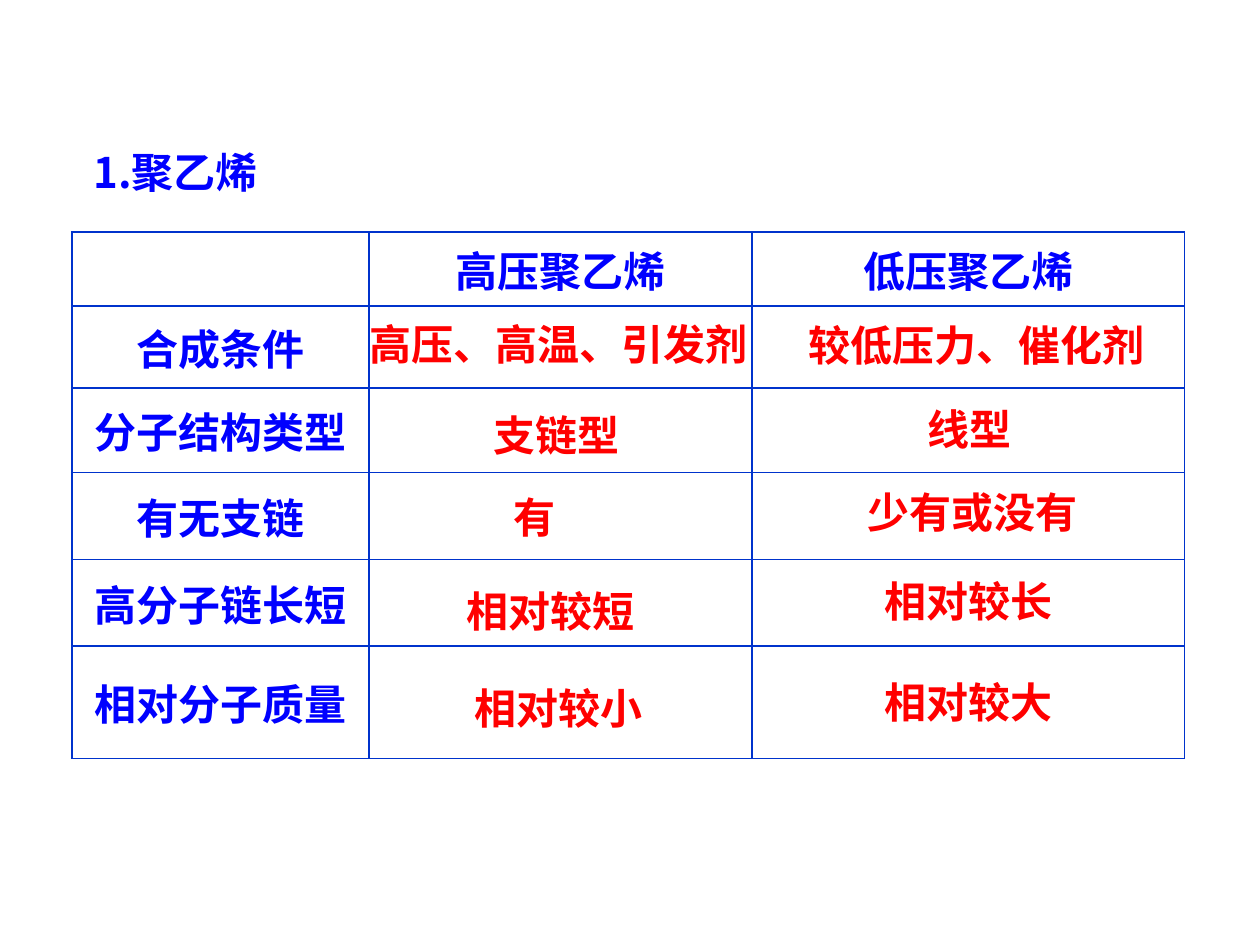
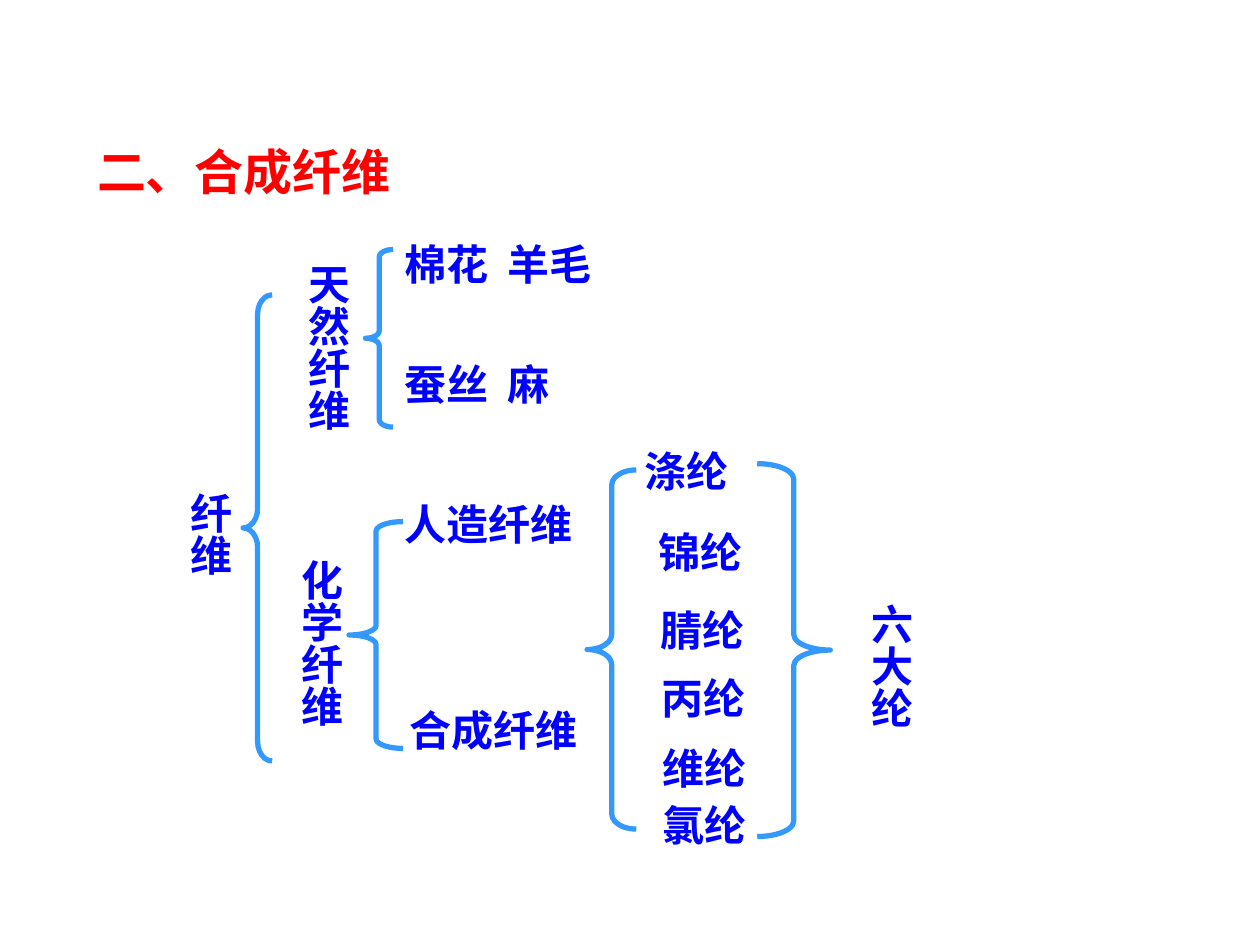
"""Build two chemistry slides: a polyethylene comparison and a fibre tree."""
from dataclasses import dataclass

from lxml import etree
from pptx import Presentation
from pptx.dml.color import RGBColor
from pptx.enum import shapes, text
from pptx.oxml import ns
from pptx.util import Inches, Pt


@dataclass(frozen=True)
class Theme:
    font: str = "Noto Sans CJK SC"
    blue: str = "0000FF"
    red: str = "FF0000"
    border: str = "0033CC"
    brace: str = "3399FF"
    body: int = 24
    heading: int = 28
    border_width: float = 1.08
    brace_width: float = 3


class Deck:
    def __init__(self, theme):
        self.theme = theme
        self.prs = Presentation()
        self.prs.slide_width, self.prs.slide_height = Inches(10), Inches(7.5)
        self.s = None

    def add_slide(self):
        self.s = self.prs.slides.add_slide(self.prs.slide_layouts[5])

    def add_words(self, p, words, color, size=None, align=text.PP_ALIGN.LEFT):
        p.alignment = align
        r = p.add_run()
        r.text = words
        r.font.name = self.theme.font
        r.font.size = Pt(size or self.theme.body)
        r.font.bold = True
        r.font.color.rgb = RGBColor.from_string(color)
        ea = etree.SubElement(r._r.get_or_add_rPr(), ns.qn("a:ea"))
        ea.set("typeface", self.theme.font)

    def title(self, words, at, color, size=None):
        sp = self.s.shapes.title
        sp.left, sp.top, sp.width, sp.height = map(Inches, at)
        tf = sp.text_frame
        tf.auto_size = text.MSO_AUTO_SIZE.NONE
        tf.vertical_anchor = text.MSO_ANCHOR.TOP
        self.add_words(tf.paragraphs[0], words, color, size)

    def box(self, at):
        tf = self.s.shapes.add_textbox(*map(Inches, at)).text_frame
        tf.word_wrap = True
        return tf

    def label(self, words, left, top, width, color, align=text.PP_ALIGN.LEFT):
        tf = self.box((left, top, width, 0.5))
        self.add_words(tf.paragraphs[0], words, color, align=align)

    def vertical_label(self, words, left, top, height):
        tf = self.box((left, top, 0.6, height))
        tf._txBody.bodyPr.set("vert", "eaVert")
        tf.margin_left = tf.margin_right = Inches(0.05)
        tf.margin_top = tf.margin_bottom = Inches(0.1)
        self.add_words(tf.paragraphs[0], words, self.theme.blue)

    def spaced_lines(self, lines, at, tab, gap):
        tf = self.box(at)
        for i, words in enumerate(lines):
            p = tf.add_paragraph() if i else tf.paragraphs[0]
            p.line_spacing = 0.75
            if i:
                p.space_before = Pt(gap)
            tabs = etree.SubElement(p._p.get_or_add_pPr(), ns.qn("a:tabLst"))
            etree.SubElement(tabs, ns.qn("a:tab"), pos=str(Inches(tab)), algn="l")
            self.add_words(p, words, self.theme.blue)

    def brace(self, left, top, width, height, kind=shapes.MSO_SHAPE.LEFT_BRACE):
        sp = self.s.shapes.add_shape(kind, *map(Inches, (left, top, width, height)))
        sp.adjustments[0] = height / 24 / width
        sp.shadow.inherit = False
        sp.fill.background()
        sp.line.color.rgb = RGBColor.from_string(self.theme.brace)
        sp.line.width = Pt(self.theme.brace_width)

    def outline(self, cell):
        tc_pr = cell._tc.get_or_add_tcPr()
        for side in ("lnL", "lnR", "lnT", "lnB"):
            ln = etree.SubElement(tc_pr, ns.qn(f"a:{side}"), w=str(Pt(self.theme.border_width)))
            fill = etree.SubElement(ln, ns.qn("a:solidFill"))
            etree.SubElement(fill, ns.qn("a:srgbClr"), val=self.theme.border)

    def table(self, left, top, cols, rows, cells):
        size = (left, top, sum(cols), sum(rows))
        tbl = self.s.shapes.add_table(len(rows), len(cols), *map(Inches, size)).table
        tbl.first_row = tbl.horz_banding = False
        for col, width in zip(tbl.columns, cols):
            col.width = Inches(width)
        for row, height in zip(tbl.rows, rows):
            row.height = Inches(height)
        for cell in tbl.iter_cells():
            self.outline(cell)
            cell.fill.background()
            cell.vertical_anchor = text.MSO_ANCHOR.MIDDLE
        for (row, col), words in cells.items():
            p = tbl.cell(row, col).text_frame.paragraphs[0]
            self.add_words(p, words, self.theme.blue, align=text.PP_ALIGN.CENTER)


def polyethylene(deck):
    """Compare high-pressure and low-pressure polyethylene."""
    deck.add_slide()
    deck.title("1.聚乙烯", (0.64, 1.11, 2.92, 0.5), deck.theme.blue)
    kinds = ("高压聚乙烯", "低压聚乙烯")
    aspects = ("合成条件", "分子结构类型", "有无支链", "高分子链长短", "相对分子质量")
    cells = {(0, col): words for col, words in enumerate(kinds, 1)}
    cells.update({(row, 0): words for row, words in enumerate(aspects, 1)})
    deck.table(0.57, 1.84, (2.36, 3.04, 3.43), (0.59, 0.65, 0.67, 0.69, 0.69, 0.89), cells)
    answers = (
        ("高压、高温、引发剂", 2.72, 2.48, 3.42),
        ("较低压力、催化剂", 5.89, 2.49, 3.72),
        ("支链型", 3.04, 3.2, 2.75),
        ("线型", 6.32, 3.15, 2.75),
        ("有", 3.97, 3.85, 0.55),
        ("少有或没有", 6.78, 3.81, 1.88),
        ("相对较短", 2.87, 4.6, 3),
        ("相对较长", 6.19, 4.52, 3),
        ("相对较小", 2.93, 5.37, 3),
        ("相对较大", 6.19, 5.32, 3),
    )
    for answer in answers:
        deck.label(*answer, deck.theme.red, text.PP_ALIGN.CENTER)


def fibres(deck):
    """Draw the classification of fibres as a tree of braces."""
    deck.add_slide()
    deck.title("二、合成纤维", (0.67, 1.07, 5.25, 0.57), deck.theme.red, deck.theme.heading)
    for group in (
        ("纤维", 1.32, 3.81, 0.99),
        ("天然纤维", 2.25, 1.99, 1.56),
        ("化学纤维", 2.2, 4.34, 1.72),
        ("六大纶", 6.72, 4.69, 1.58),
    ):
        deck.vertical_label(*group)
    for at in (
        (1.93, 2.34, 0.23, 3.7),
        (2.9, 1.98, 0.22, 1.41),
        (2.77, 4.14, 0.43, 1.8),
        (4.66, 3.73, 0.39, 2.85),
    ):
        deck.brace(*at)
    deck.brace(6.01, 3.68, 0.58, 2.96, shapes.MSO_SHAPE.RIGHT_BRACE)
    deck.spaced_lines(("棉花\t羊毛", "蚕丝\t麻"), (3.11, 1.94, 3.7, 1.42), 0.82, 47)
    for member in (
        ("人造纤维", 3.11, 3.91, 2.07),
        ("合成纤维", 3.15, 5.54, 1.66),
        ("涤纶", 5.02, 3.49, 1.52),
        ("锦纶", 5.13, 4.13, 1.52),
        ("腈纶", 5.14, 4.75, 1.52),
        ("丙纶", 5.15, 5.29, 1.52),
        ("维纶", 5.16, 5.84, 1.52),
        ("氯纶", 5.16, 6.3, 1.52),
    ):
        deck.label(*member, deck.theme.blue)


def main():
    deck = Deck(Theme())
    polyethylene(deck)
    fibres(deck)
    deck.prs.save("out.pptx")


if __name__ == "__main__":
    main()
